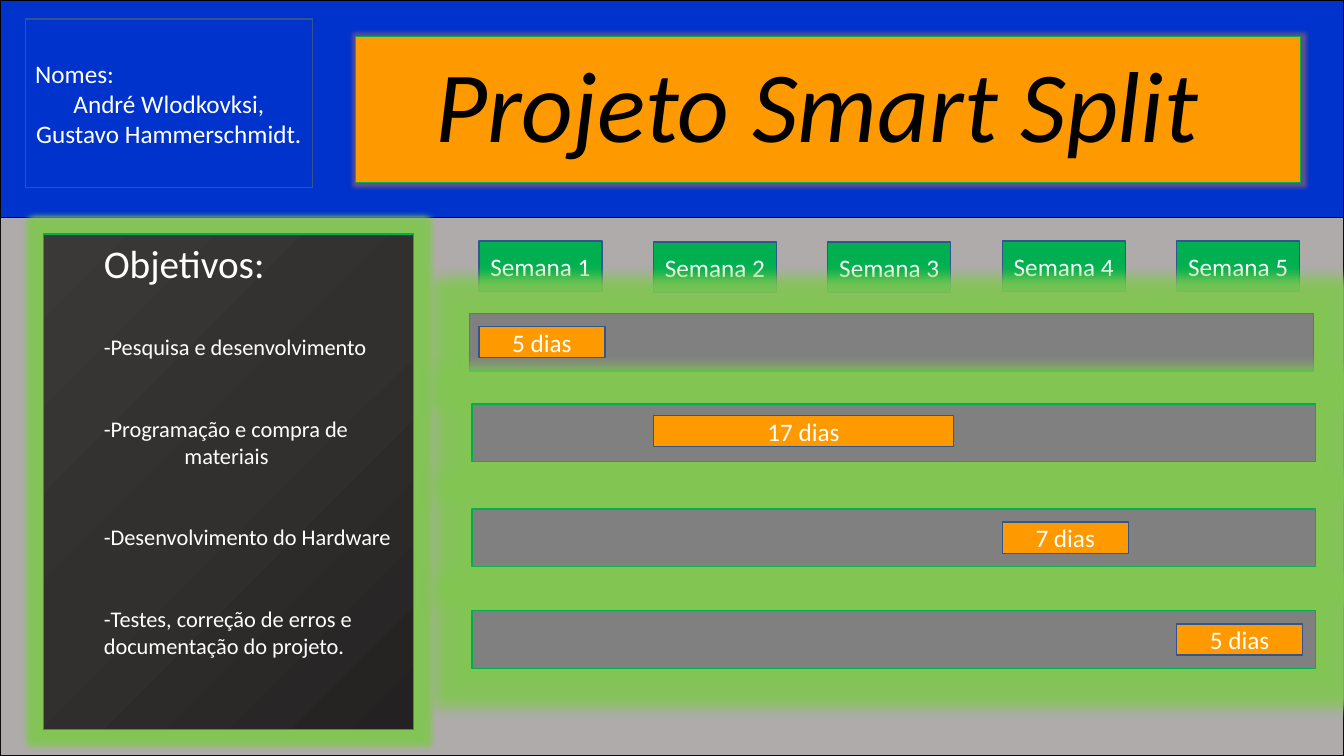
from dataclasses import dataclass

from lxml import etree
from pptx import Presentation
from pptx import util as u
from pptx.dml.color import RGBColor
from pptx.enum import shapes, text
from pptx.oxml import ns, parse_xml
from pptx.shapes.autoshape import Shape


@dataclass(frozen=True)
class Theme:
    font: str = "Calibri"
    ground: str = "AFABAB"
    header: str = "0033CC"
    accent: str = "FF9900"
    green: str = "00B050"
    lane: str = "808080"
    edge: str = "325491"
    black: str = "000000"
    ground_edge: str = "0D0D0D"
    white: str = "FFFFFF"
    green_glow: str = "82C653"
    orange_glow: str = "ED7D31"
    panel_stops: tuple[str, ...] = ("232121", "322F2F", "3B3838")
    title_size: int = 72
    heading_size: int = 28
    label_size: int = 18
    goal_size: int = 16


@dataclass(frozen=True)
class Area:
    left: float
    top: float
    width: float
    height: float


@dataclass(frozen=True)
class Task:
    label: str
    first_week: int
    weeks: int
    lane_left: float
    lane_top: float
    bar_drop: float = 0.13


@dataclass(frozen=True)
class Goal:
    label: str
    size: int
    gap: float = 0
    indent: float = 0


THEME = Theme()
WIDTH, HEIGHT = 13.33, 7.5
HEADER_HEIGHT = 2.16
WEEK_LEFT, WEEK_PITCH, WEEK_WIDTH = 4.75, 1.73, 1.22
BAR_WIDTH, BAR_HEIGHT = 1.25, 0.31
LANE_WIDTH, LANE_HEIGHT = 8.37, 0.57
WEEK_TOPS = (2.39, 2.4, 2.4, 2.39, 2.39)
TASKS = (
    Task("5 dias", 1, 1, 4.66, 3.11),
    Task("17 dias", 2, 2, 4.68, 4.01, 0.11),
    Task("7 dias", 4, 1, 4.68, 5.05),
    Task("5 dias", 5, 1, 4.68, 6.06),
)
GOALS = (
    Goal("Objetivos:", THEME.heading_size),
    Goal("-Pesquisa e desenvolvimento", THEME.goal_size, 34),
    Goal("-Programação e compra de", THEME.goal_size, 39),
    Goal("materiais", THEME.goal_size, 0, 0.8),
    Goal("-Desenvolvimento do Hardware", THEME.goal_size, 39),
    Goal("-Testes, correção de erros e documentação do projeto.", THEME.goal_size, 39),
)


def week_left(week: int) -> float:
    return WEEK_LEFT + (week - 1) * WEEK_PITCH


def paint(box: Shape, fill: str | None, line: str, weight: float = 1) -> None:
    if fill:
        box.fill.solid()
        box.fill.fore_color.rgb = RGBColor.from_string(fill)
    else:
        box.fill.background()
    box.line.color.rgb = RGBColor.from_string(line)
    box.line.width = u.Pt(weight)


def add_box(area: Area, fill: str | None, line: str) -> Shape:
    box = page.shapes.add_shape(
        shapes.MSO_SHAPE.RECTANGLE,
        *(u.Inches(n) for n in (area.left, area.top, area.width, area.height)),
    )
    box.shadow.inherit = False
    paint(box, fill, line)
    return box


def add_glow(box: Shape, color: str, points: float, opacity: int) -> None:
    properties = box.element.spPr
    effects = properties.find(ns.qn("a:effectLst"))
    if effects is None:
        effects = etree.SubElement(properties, ns.qn("a:effectLst"))
    glow = etree.SubElement(effects, ns.qn("a:glow"), rad=str(u.Pt(points)))
    shade = etree.SubElement(glow, ns.qn("a:srgbClr"), val=color)
    etree.SubElement(shade, ns.qn("a:alpha"), val=str(opacity * 1000))


def fill_panel(box: Shape) -> None:
    stops = "".join(
        f'<a:gs pos="{i * 50000}"><a:srgbClr val="{color}"/></a:gs>'
        for i, color in enumerate(THEME.panel_stops)
    )
    gradient = parse_xml(
        f'<a:gradFill {ns.nsdecls("a")}><a:gsLst>{stops}</a:gsLst>'
        '<a:path path="circle"><a:fillToRect l="100000" t="100000"/></a:path></a:gradFill>'
    )
    properties = box.element.spPr
    properties.replace(properties.find(ns.qn("a:noFill")), gradient)


def write(box: Shape, lines: list[str], size: int, color: str = THEME.white) -> None:
    frame = box.text_frame
    frame.word_wrap = True
    frame.auto_size = text.MSO_AUTO_SIZE.NONE
    frame.vertical_anchor = text.MSO_ANCHOR.MIDDLE
    frame.text = "\n".join(lines)
    for para in frame.paragraphs:
        para.alignment = text.PP_ALIGN.CENTER
        para.font.name = THEME.font
        para.font.size = u.Pt(size)
        para.font.color.rgb = RGBColor.from_string(color)


def add_title(behind: Shape) -> None:
    title = page.shapes.title
    title.left, title.top = u.Inches(3.53), u.Inches(0.36)
    title.width, title.height = u.Inches(9.37), u.Inches(1.45)
    paint(title, THEME.accent, THEME.green, 0.75)
    add_glow(title, THEME.orange_glow, 5, 40)
    write(title, ["Projeto Smart Split "], THEME.title_size, THEME.black)
    para = title.text_frame.paragraphs[0]
    para.font.italic = True
    para.line_spacing = 0.9
    behind.element.addnext(title.element)


def add_goals() -> None:
    panel = add_box(Area(0.43, 2.32, 3.67, 4.92), None, THEME.green)
    fill_panel(panel)
    add_glow(panel, THEME.green_glow, 8, 90)
    write(panel, [goal.label for goal in GOALS], THEME.goal_size)
    frame = panel.text_frame
    frame.vertical_anchor = text.MSO_ANCHOR.TOP
    frame.margin_left = u.Inches(0.6)
    for para, goal in zip(frame.paragraphs, GOALS):
        para.alignment = text.PP_ALIGN.LEFT
        para.font.size = u.Pt(goal.size)
        para.space_before = u.Pt(goal.gap)
        if goal.indent:
            para._p.get_or_add_pPr().set("marL", str(u.Inches(goal.indent)))


def add_schedule() -> None:
    for task in TASKS:
        lane = add_box(
            Area(task.lane_left, task.lane_top, LANE_WIDTH, LANE_HEIGHT), THEME.lane, THEME.green
        )
        add_glow(lane, THEME.green_glow, 18, 90)
    for task in TASKS:
        width = BAR_WIDTH + (task.weeks - 1) * WEEK_PITCH
        area = Area(week_left(task.first_week), task.lane_top + task.bar_drop, width, BAR_HEIGHT)
        write(add_box(area, THEME.accent, THEME.edge), [task.label], THEME.label_size)


deck = Presentation()
deck.slide_width, deck.slide_height = u.Inches(WIDTH), u.Inches(HEIGHT)
page = deck.slides.add_slide(deck.slide_layouts[5])

add_box(Area(0, HEADER_HEIGHT, WIDTH, HEIGHT - HEADER_HEIGHT), THEME.ground, THEME.ground_edge)
header = add_box(Area(0, 0, WIDTH, HEADER_HEIGHT), THEME.header, THEME.black)
add_title(header)
for week, top in enumerate(WEEK_TOPS, 1):
    label = add_box(Area(week_left(week), top, WEEK_WIDTH, 0.5), THEME.green, THEME.edge)
    write(label, [f"Semana {week}"], THEME.label_size)
add_goals()
add_schedule()

names = add_box(Area(0.25, 0.19, 2.85, 1.67), None, THEME.edge)
write(names, ["Nomes:", "André Wlodkovksi,", "Gustavo Hammerschmidt."], THEME.label_size)
names.text_frame.paragraphs[0].alignment = text.PP_ALIGN.LEFT

deck.save("out.pptx")
